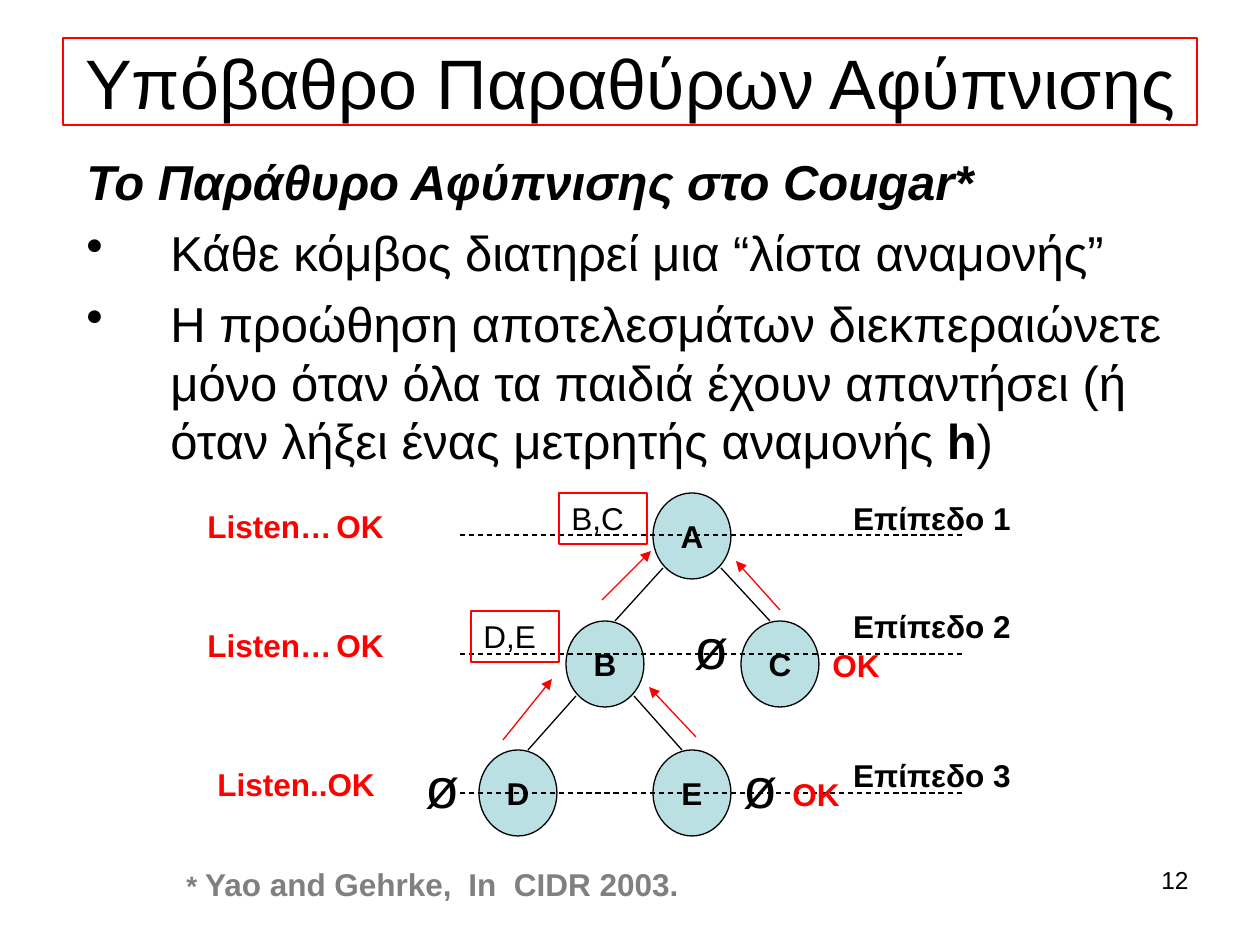
import dataclasses

import lxml.etree
import pptx
import pptx.dml.color
import pptx.enum.dml
import pptx.enum.shapes
import pptx.enum.text
import pptx.oxml
import pptx.oxml.ns
import pptx.util

ALIGN = pptx.enum.text.PP_ALIGN
ANCHOR = pptx.enum.text.MSO_ANCHOR
SHAPE = pptx.enum.shapes.MSO_SHAPE


@dataclasses.dataclass(frozen=True)
class Theme:
    """Colours, font and type sizes of the deck."""
    font: str = "Arial"
    ink: str = "000000"
    accent: str = "FF0000"
    node: str = "BBE0E3"
    muted: str = "808080"
    title: int = 40
    body: int = 28
    symbol: int = 32
    label: int = 18
    small: int = 16
    number: int = 14
    line: float = 0.75


class SlideBuilder:
    """Draws styled elements on the current page, in px."""

    def __init__(self, page, theme):
        self.page = page
        self.theme = theme

    def emu(self, *lengths):
        return [round(length * 914400 / 126) for length in lengths]

    def color(self, value):
        return pptx.dml.color.RGBColor.from_string(value)

    def font(self, span, size, color=None, bold=False, italic=False):
        span.font.name = self.theme.font
        span.font.size = pptx.util.Pt(size)
        span.font.bold = bold
        span.font.italic = italic
        span.font.color.rgb = self.color(color or self.theme.ink)

    def outline(self, item, color):
        item.line.color.rgb = self.color(color)
        item.line.width = pptx.util.Pt(self.theme.line)

    def title(self, text, place):
        box = self.page.shapes.title
        box.left, box.top, box.width, box.height = self.emu(*place)
        self.outline(box, self.theme.accent)
        frame = box.text_frame
        frame.text = text
        frame.word_wrap = True
        frame.auto_size = pptx.enum.text.MSO_AUTO_SIZE.NONE
        frame.vertical_anchor = ANCHOR.MIDDLE
        frame.paragraphs[0].alignment = ALIGN.CENTER
        self.font(frame.paragraphs[0].runs[0], self.theme.title)

    def text(self, text, place, size=None, align=ALIGN.LEFT, border=None, **style):
        box = self.page.shapes.add_textbox(*self.emu(*place))
        box.text_frame.word_wrap = True
        box.text_frame.text = text
        para = box.text_frame.paragraphs[0]
        para.alignment = align
        if text:
            self.font(para.runs[0], size or self.theme.label, **style)
        if border:
            self.outline(box, border)
        return box

    def spans(self, para, parts):
        for text, style in parts:
            span = para.add_run()
            span.text = text
            self.font(span, **style)

    def bullets(self, heading, items, place):
        size = self.theme.body
        frame = self.text(heading, place, size, bold=True, italic=True).text_frame
        for parts in items:
            para = frame.add_paragraph()
            props = para._p.get_or_add_pPr()
            indent = self.emu(84)[0]
            props.set("marL", str(indent))
            props.set("indent", str(-indent))
            bullet = lxml.etree.SubElement(props, pptx.oxml.ns.qn("a:buChar"))
            bullet.set("char", "•")
            para.space_before = pptx.util.Pt(7)
            self.spans(para, [(text, {"size": size, "bold": bold}) for text, bold in parts])

    def node(self, name, center, top, width, height):
        place = self.emu(center - width / 2, top, width, height)
        shape = self.page.shapes.add_shape(SHAPE.OVAL, *place)
        shape.shadow.inherit = False
        shape.fill.solid()
        shape.fill.fore_color.rgb = self.color(self.theme.node)
        self.outline(shape, self.theme.ink)
        frame = shape.text_frame
        frame.text = name
        frame.word_wrap = False
        frame.vertical_anchor = ANCHOR.MIDDLE
        frame.paragraphs[0].alignment = ALIGN.CENTER
        self.font(frame.paragraphs[0].runs[0], self.theme.label, bold=True)

    def line(self, ends, color=None, dashed=False, arrow=False):
        straight = pptx.enum.shapes.MSO_CONNECTOR.STRAIGHT
        line = self.page.shapes.add_connector(straight, *self.emu(*ends))
        self.outline(line, color or self.theme.ink)
        if dashed:
            line.line.dash_style = pptx.enum.dml.MSO_LINE.DASH
        if arrow:
            head = lxml.etree.SubElement(line.line._get_or_add_ln(), pptx.oxml.ns.qn("a:tailEnd"))
            head.set("type", "triangle")
        lxml.etree.SubElement(line._element.spPr, pptx.oxml.ns.qn("a:effectLst"))


def main():
    """Build the wake-up window slide."""
    deck = pptx.Presentation()
    deck.slide_width = pptx.util.Inches(10)
    deck.slide_height = pptx.util.Inches(7.5)
    theme = Theme()
    slide = SlideBuilder(deck.slides.add_slide(deck.slide_layouts[5]), theme)

    slide.title("Υπόβαθρο Παραθύρων Αφύπνισης", (63, 38, 1134, 87))
    slide.text("12", (907, 859, 294, 66), theme.number, ALIGN.RIGHT)
    slide.bullets(
        "Το Παράθυρο Αφύπνισης στο Cougar*",
        [
            [("Κάθε κόμβος διατηρεί μια “λίστα αναμονής”", False)],
            [
                ("Η προώθηση αποτελεσμάτων διεκπεραιώνετε μόνο όταν όλα τα παιδιά "
                 "έχουν απαντήσει (ή όταν λήξει ένας μετρητής αναμονής ", False),
                ("h", True),
                (")", False),
            ],
        ],
        (74, 145, 1121, 277),
    )
    source = slide.text("", (174, 859, 963, 50)).text_frame.paragraphs[0]
    slide.spans(source, [
        (text, {"size": size, "color": theme.muted, "bold": True})
        for text, size in [("* ", theme.small), ("Yao and Gehrke, ", theme.label),
                           (" ", theme.small), ("In  CIDR 2003.", theme.label)]
    ])

    node_width, node_height = 78, 86
    nodes = {"A": (692, 493), "B": (605, 621), "C": (780, 621), "D": (518, 750), "E": (692, 750)}
    for name, (center, top) in nodes.items():
        slide.node(name, center, top, node_width, node_height)
    for parent, child in ("AB", "AC", "BD", "BE"):
        (start, upper), (end, lower) = nodes[parent], nodes[child]
        side = 1 if end > start else -1
        slide.line((start + 29 * side, upper + 75, end - 10 * side, lower))

    levels = [(535, 493), (654, 601), (793, 750)]
    for number, (level, top) in enumerate(levels, 1):
        slide.line((460, level, 964, level), dashed=True)
        slide.text(f"Επίπεδο {number}", (819, top, 226, 50), align=ALIGN.CENTER, bold=True)

    for text, left, top in [("B,C", 559, 493), ("D,E", 471, 611)]:
        slide.text(text, (left, top, 88, 51), border=theme.accent)
    for left, top in [(413, 746), (682, 607), (731, 746)]:
        slide.text("ø", (left, top, 71, 81), theme.symbol)

    states = [
        ("Listen…", 195, 501), ("OK", 324, 501), ("Listen…", 195, 620), ("OK", 324, 620),
        ("Listen..OK", 205, 759), ("OK", 780, 769), ("OK", 820, 640),
    ]
    for text, left, top in states:
        width = 100 if text == "OK" else 218
        slide.text(text, (left, top, width, 50), color=theme.accent, bold=True)
    for ends in [(503, 740, 552, 679), (696, 737, 649, 687),
                 (602, 600, 651, 551), (780, 610, 736, 561)]:
        slide.line(ends, theme.accent, arrow=True)

    deck.save("out.pptx")


if __name__ == "__main__":
    main()
